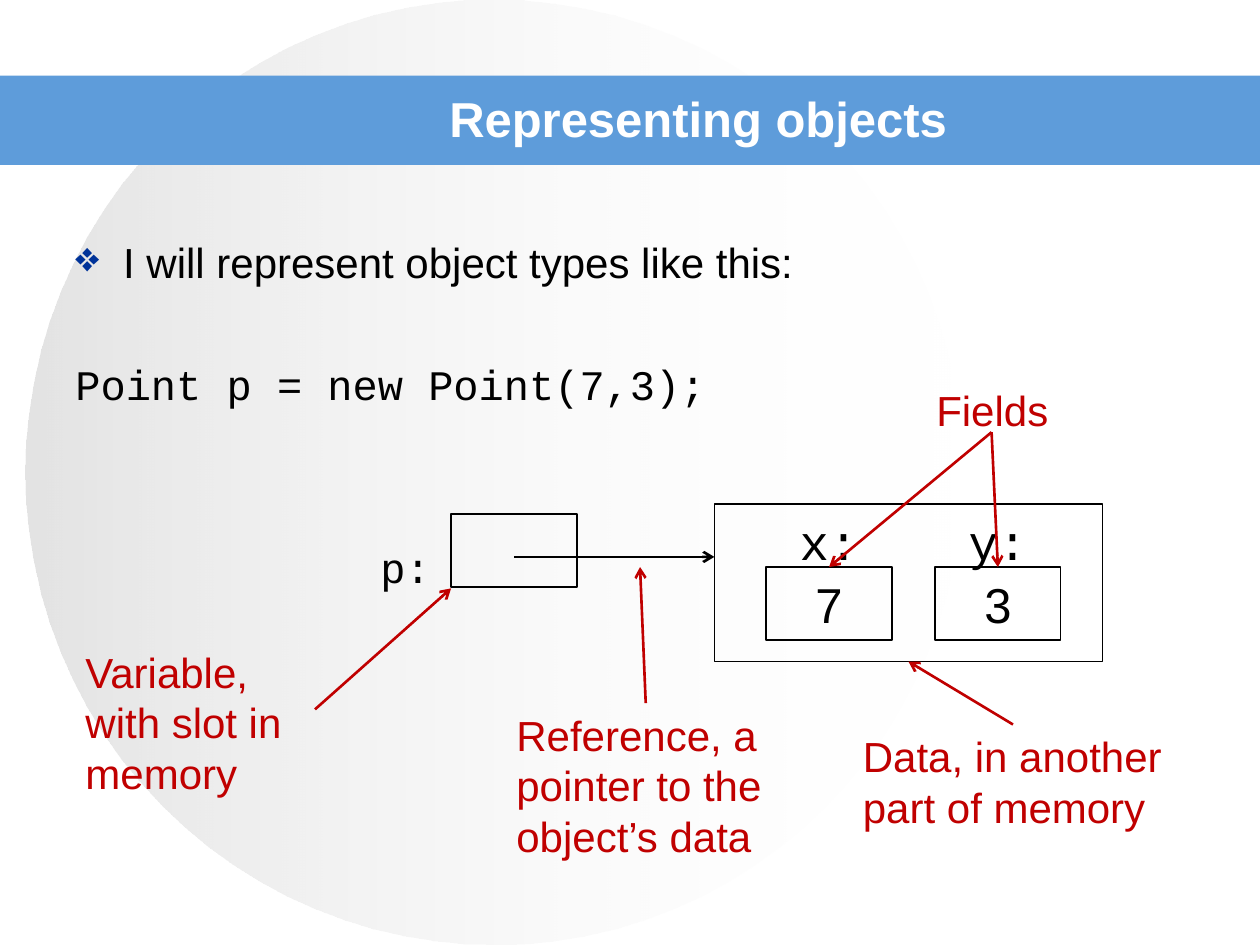
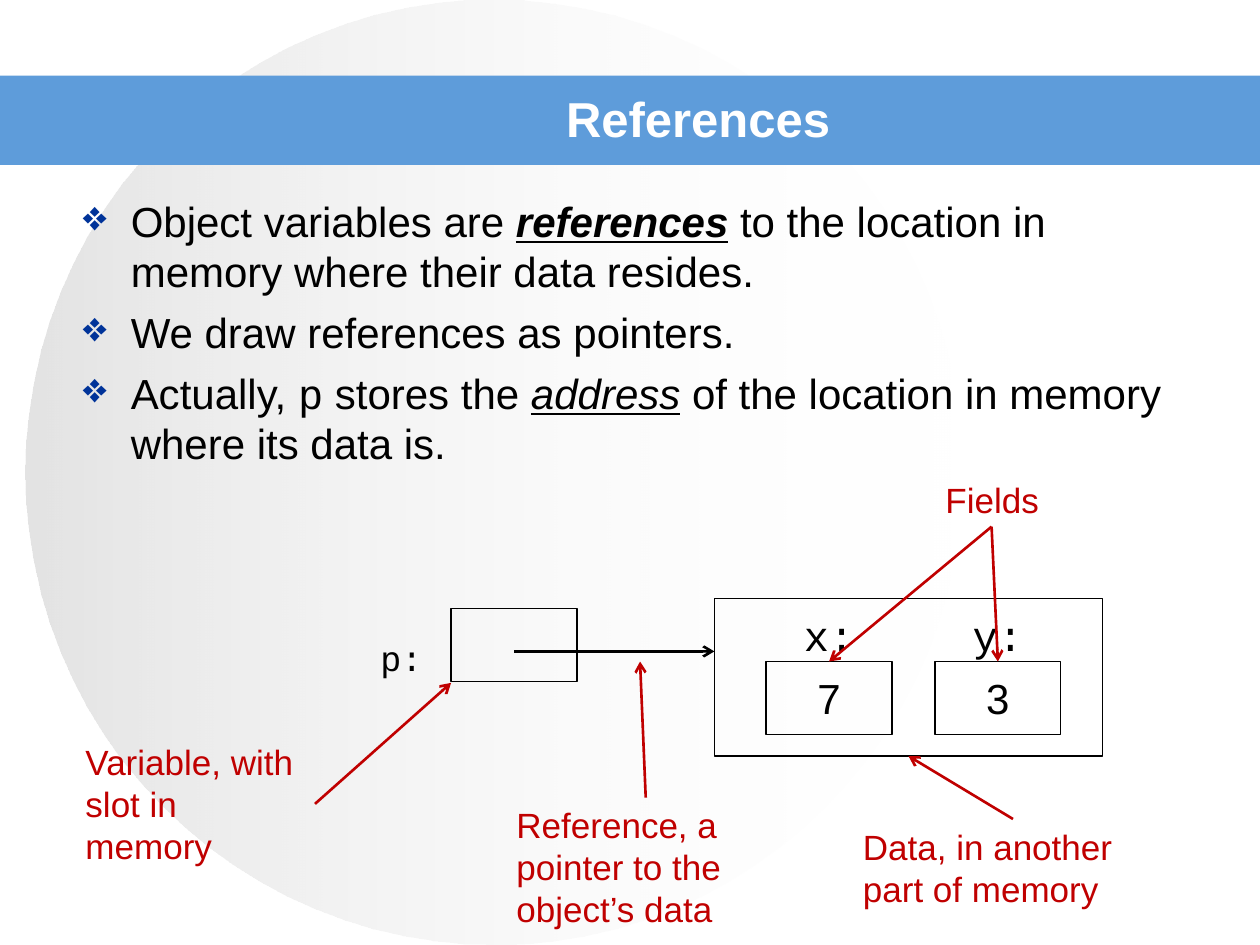
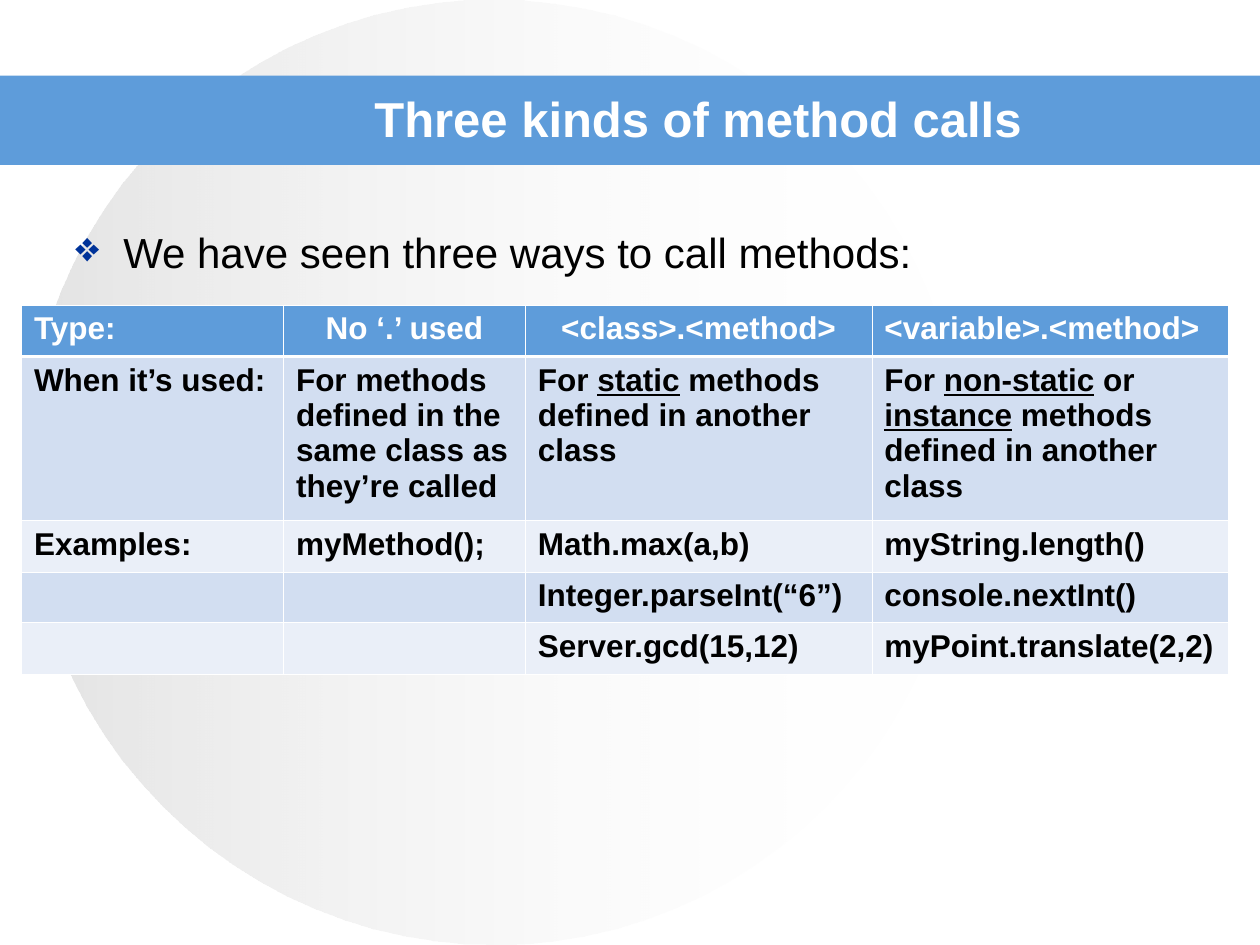
import pptx
import pptx.dml.color
import pptx.enum.shapes
import pptx.enum.text
import pptx.oxml.ns
import pptx.util
from lxml import etree

Inches, Pt = pptx.util.Inches, pptx.util.Pt
MSO_SHAPE = pptx.enum.shapes.MSO_SHAPE
ANCHOR = pptx.enum.text.MSO_ANCHOR
ALIGN = pptx.enum.text.PP_ALIGN
qn = pptx.oxml.ns.qn

SANS, MONO = "Arial", "Courier New"
BLACK, WHITE, RED, BAND = "000000", "FFFFFF", "C00000", "5E9CDA"
DISC_GREY, BULLET_BLUE = "C0C0C0", "003399"
ROW_FILLS = ["D2DEF1", "EAEFF8"]
HANGING = 0.38


def rgb(color):
    return pptx.dml.color.RGBColor.from_string(color)


def place(box):
    return [Inches(length) for length in box]


def style(paragraph, size, color=BLACK, font=SANS, bold=False, align=ALIGN.LEFT):
    paragraph.alignment = align
    paragraph.font.size = Pt(size)
    paragraph.font.name = font
    paragraph.font.bold = bold
    paragraph.font.color.rgb = rgb(color)


def add_runs(paragraph, pieces):
    """Add plain strings, or (text, marks) pairs; marks: b, i, u, m (mono)."""
    for piece in pieces:
        text, marks = (piece, "") if isinstance(piece, str) else piece
        run = paragraph.add_run()
        run.text = text
        if "b" in marks:
            run.font.bold = True
        if "i" in marks:
            run.font.italic = True
        if "u" in marks:
            run.font.underline = True
        if "m" in marks:
            run.font.name = MONO


def add_label(slide, box, text, size, anchor=ANCHOR.TOP, **look):
    label = slide.shapes.add_textbox(*place(box))
    label.text_frame.word_wrap = True
    label.text_frame.vertical_anchor = anchor
    label.text_frame.text = text
    style(label.text_frame.paragraphs[0], size, **look)
    return label


def add_panel(slide, kind, box, fill=None, line=None):
    panel = slide.shapes.add_shape(kind, *place(box))
    panel.shadow.inherit = False
    if fill:
        panel.fill.solid()
        panel.fill.fore_color.rgb = rgb(fill)
    else:
        panel.fill.background()
    if line:
        panel.line.color.rgb = rgb(line)
        panel.line.width = Pt(0.75)
    else:
        panel.line.fill.background()
    return panel


def add_arrow(slide, start, end, color=RED):
    arrow = slide.shapes.add_connector(
        pptx.enum.shapes.MSO_CONNECTOR.STRAIGHT, *place(start + end))
    arrow.line.color.rgb = rgb(color)
    arrow.line.width = Pt(1.5)
    etree.SubElement(arrow.line._get_or_add_ln(), qn("a:tailEnd"), type="arrow")
    etree.SubElement(arrow._element.spPr, qn("a:effectLst"))
    return arrow


def add_framed_slide(prs, title):
    """Add a slide with the shaded disc, the band and its title."""
    slide = prs.slides.add_slide(prs.slide_layouts[6])
    disc = add_panel(slide, MSO_SHAPE.OVAL, (0.2, 0, 7.44, 7.5))
    disc.fill.gradient()
    disc.fill.gradient_angle = 0
    shades = [(0, DISC_GREY, 44), (1, WHITE, 0)]
    for stop, (position, color, opacity) in zip(disc.fill.gradient_stops, shades):
        stop.position = position
        stop.color.rgb = rgb(color)
        etree.SubElement(stop._gs.find(qn("a:srgbClr")), qn("a:alpha"),
                         val=str(opacity * 1000))
    add_panel(slide, MSO_SHAPE.RECTANGLE, (0, 0.6, 10, 0.71), fill=BAND)
    add_label(slide, (2.25, 0.67, 6.58, 0.53), title, 28, ANCHOR.MIDDLE,
              color=WHITE, bold=True, align=ALIGN.CENTER)
    return slide


def add_bullets(slide, box, items):
    body = slide.shapes.add_textbox(*place(box)).text_frame
    body.word_wrap = True
    for index, pieces in enumerate(items):
        paragraph = body.add_paragraph() if index else body.paragraphs[0]
        style(paragraph, 24)
        paragraph.space_before = Pt(6)
        add_runs(paragraph, pieces)
        props = paragraph._p.get_or_add_pPr()
        props.set("marL", str(Inches(HANGING)))
        props.set("indent", str(-Inches(HANGING)))
        bullet_color = etree.SubElement(props, qn("a:buClr"))
        etree.SubElement(bullet_color, qn("a:srgbClr"), val=BULLET_BLUE)
        etree.SubElement(props, qn("a:buChar"), char="❖")
        # The schema wants default run properties after the bullet.
        props.append(props.find(qn("a:defRPr")))
    return body


def add_object_diagram(slide, left, top, note_size, field_size):
    """Draw variable p, its reference and the Point it refers to."""
    def at(x, y, *size):
        return (left + x, top + y, *size)

    def note(text, x, y, width, height, **look):
        return add_label(slide, at(x, y, width, height), text, note_size,
                         **{"color": RED, **look})

    def cell(x, y, width=1, height=0.58):
        return add_panel(slide, MSO_SHAPE.RECTANGLE, at(x, y, width, height),
                         line=BLACK)

    line_height = note_size / 60
    cell(3, 1.08)
    note("p:", 2.34, 1.25, 0.83, line_height + 0.1, color=BLACK, font=MONO)
    point_data = cell(5.09, 1, 3.08, 1.25)

    fields = []
    for name, value, x in [("x:", "7", 5.5), ("y:", "3", 6.84)]:
        field = cell(x, 1.5)
        field.text_frame.text = value
        field.text_frame.vertical_anchor = ANCHOR.MIDDLE
        style(field.text_frame.paragraphs[0], field_size)
        field.text_frame.paragraphs[0].alignment = ALIGN.CENTER
        add_label(slide, at(x, 1, 1, 0.58), name, field_size, ANCHOR.MIDDLE,
                  font=MONO, align=ALIGN.CENTER)
        fields.append(field)
    add_arrow(slide, at(3.5, 1.42), at(5.09, 1.42), BLACK)

    note("Variable, with slot in memory", 0, 2.08, 1.92, 3 * line_height + 0.1)
    add_arrow(slide, at(1.92, 2.63), at(3, 1.67))

    reference = note("Reference, a pointer to the object’s data",
                     3.42, 2.58, 2.25, 3 * line_height + 0.1)
    add_arrow(slide, at(4.55, 2.58), at(4.5, 1.5)).begin_connect(reference, 0)

    data = note("Data, in another part of memory",
                6.17, 2.75, 2.58, 2 * line_height + 0.1)
    data_arrow = add_arrow(slide, at(7.46, 2.75), at(6.63, 2.25))
    data_arrow.begin_connect(data, 0)
    data_arrow.end_connect(point_data, 2)

    note("Fields", 6.67, 0, 1.25, line_height + 0.1, align=ALIGN.CENTER)
    for field in fields:
        add_arrow(slide, at(7.29, 0.43), at(7.34, 1.5)).end_connect(field, 0)


def add_cell_borders(cell, bottom_width, top_width):
    widths = {"a:lnL": 0.45, "a:lnR": 0.45, "a:lnT": top_width, "a:lnB": bottom_width}
    for side, width in widths.items():
        border = etree.SubElement(cell._tc.get_or_add_tcPr(), qn(side),
                                  w=str(Pt(width)))
        fill = etree.SubElement(border, qn("a:solidFill"))
        etree.SubElement(fill, qn("a:srgbClr"), val=WHITE)


def add_call_table(slide, left, top, rows):
    widths, heights = [2.08, 1.92, 2.75, 2.83], [0.41, 1.3, 0.41, 0.4, 0.41]
    table = slide.shapes.add_table(
        len(heights), len(widths),
        *place((left, top, sum(widths), sum(heights)))).table
    for column, width in zip(table.columns, widths):
        column.width = Inches(width)
    for row, height in zip(table.rows, heights):
        row.height = Inches(height)
    for r, row in enumerate(rows):
        for c, pieces in enumerate(row):
            cell = table.cell(r, c)
            add_cell_borders(cell, 1.47 if r == 0 else 0.45, 1.47 if r == 1 else 0.45)
            cell.fill.solid()
            cell.fill.fore_color.rgb = rgb(ROW_FILLS[(r - 1) % 2] if r else BAND)
            paragraph = cell.text_frame.paragraphs[0]
            centred = r == 0 and c in (1, 2)
            style(paragraph, 18, BLACK if r else WHITE, bold=True,
                  align=ALIGN.CENTER if centred else ALIGN.LEFT)
            add_runs(paragraph, pieces)


def build_representing(prs):
    slide = add_framed_slide(prs, "Representing objects")
    body = add_bullets(slide, (0.5, 1.83, 9.04, 5.08),
                       [["I will represent object types like this:"]])
    code = body.add_paragraph()
    code.text = "Point p = new Point(7,3);"
    style(code, 24, font=MONO)
    code.space_before = Pt(41)
    add_object_diagram(slide, 0.58, 3, note_size=24, field_size=28)


def build_references(prs):
    slide = add_framed_slide(prs, "References")
    add_bullets(slide, (0.56, 1.5, 9.04, 5.08), [
        ["Object variables are ", ("references", "biu"),
         " to the location in memory where their data resides."],
        ["We draw references as pointers."],
        ["Actually, ", ("p", "m"), " stores the ", ("address", "iu"),
         " of the location in memory where its data is."],
    ])
    add_object_diagram(slide, 0.58, 3.75, note_size=20, field_size=24)


def build_method_calls(prs):
    slide = add_framed_slide(prs, "Three kinds of method calls")
    add_bullets(slide, (0.5, 1.75, 8.99, 0.75),
                [["We have seen three ways to call methods:"]])
    add_call_table(slide, 0.17, 2.42, [
        [["Type:"], ["No ‘.’ used"], ["<class>.<method>"], ["<variable>.<method>"]],
        [["When it’s used:"],
         ["For methods defined in the same class as they’re called"],
         ["For ", ("static", "u"), " methods defined in another class"],
         ["For ", ("non-static", "u"), " or ", ("instance", "u"),
          " methods defined in another class"]],
        [["Examples:"], ["myMethod();"], ["Math.max(a,b)"], ["myString.length()"]],
        [[], [], ["Integer.parseInt(“6”)"], ["console.nextInt()"]],
        [[], [], ["Server.gcd(15,12)"], ["myPoint.translate(2,2)"]],
    ])


def main():
    prs = pptx.Presentation()
    prs.slide_width, prs.slide_height = Inches(10), Inches(7.5)
    build_representing(prs)
    build_references(prs)
    build_method_calls(prs)
    prs.save("out.pptx")


if __name__ == "__main__":
    main()
